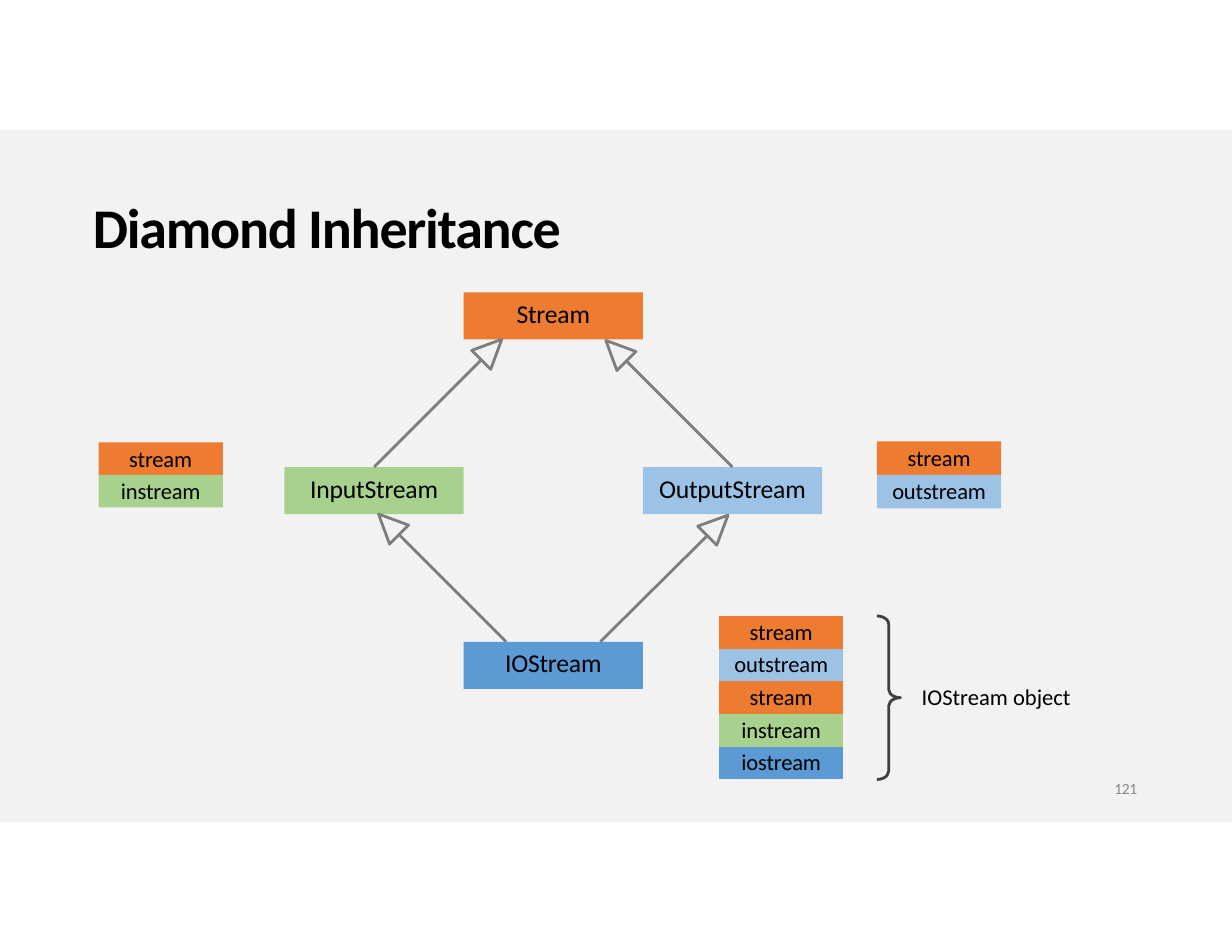
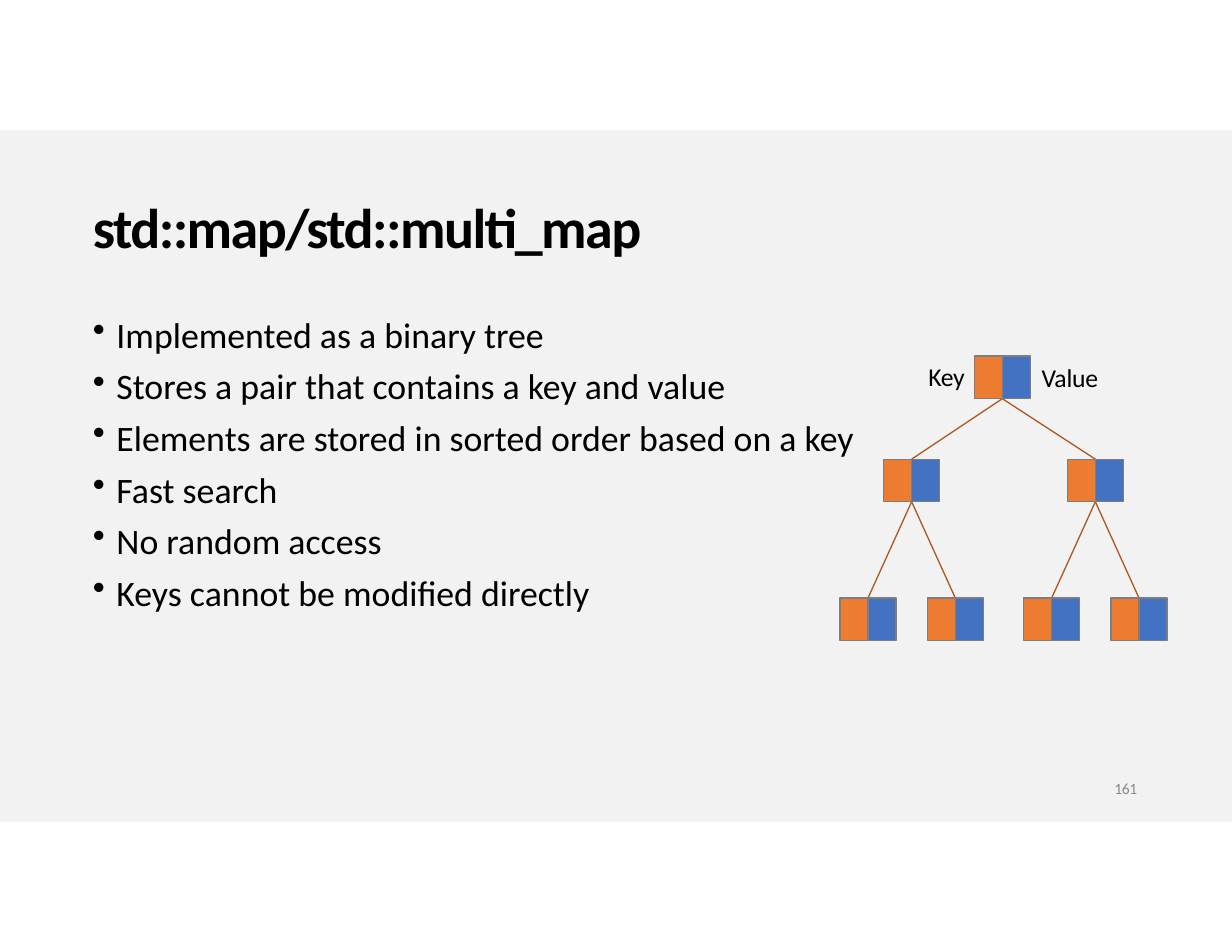
from math import hypot
from lxml import etree
from pptx import Presentation
from pptx.dml.color import RGBColor
from pptx.enum.shapes import MSO_CONNECTOR, MSO_SHAPE
from pptx.enum.text import MSO_ANCHOR, PP_ALIGN
from pptx.oxml.ns import qn
from pptx.util import Inches, Pt

RECT, BRACE = MSO_SHAPE.RECTANGLE, MSO_SHAPE.RIGHT_BRACE
STRAIGHT = MSO_CONNECTOR.STRAIGHT
LEFT, CENTER = PP_ALIGN.LEFT, PP_ALIGN.CENTER
TOP, MIDDLE = MSO_ANCHOR.TOP, MSO_ANCHOR.MIDDLE

FONT = "Calibri"
BLACK, GRAY, BAND = "000000", "7E7E7E", "F2F2F2"
PAGE, DARK, RUST = "898989", "3F3F3F", "AE5921"
ORANGE, GREEN, SKY, BLUE, NAVY = "ED7C31", "A8D18E", "9CC3E6", "5B9AD4", "4472C3"
NO_GRID = "{2D5ABB26-0587-4C30-8999-92F81FD0307C}"

# Slide 1: class boxes, inheritance arrows and object layouts
CLASSES = [
    ("Stream", 4.14, 2.61, ORANGE),
    ("InputStream", 2.54, 4.17, GREEN),
    ("OutputStream", 5.74, 4.17, SKY),
    ("IOStream", 4.14, 5.73, BLUE),
]
ARROWS = [
    ((3.34, 4.17), (4.48, 3.03)),
    ((6.54, 4.17), (5.41, 3.04)),
    ((4.52, 5.73), (3.38, 4.59)),
    ((5.36, 5.73), (6.5, 4.6)),
]
PARTS = {"stream": ORANGE, "instream": GREEN, "outstream": SKY, "iostream": BLUE}
STACKS = [
    (0.88, 3.95, 0.29, ["stream", "instream"]),
    (7.83, 3.94, 0.3, ["stream", "outstream"]),
]
OBJECT = ["stream", "outstream", "stream", "instream", "iostream"]

# Slide 2: bullets and the tree
POINTS = [
    "Implemented as a binary tree",
    "Stores a pair that contains a key and value",
    "Elements are stored in sorted order based on a key",
    "Fast search",
    "No random access",
    "Keys cannot be modified directly",
]
ROOT = (8.95, 3.18)
MIDS = [(8.14, 4.1), (9.78, 4.1)]
LEAF_TOP, SPREAD = 5.34, 0.39
HALF, TALL = 0.25, 0.38


def rgb(color):
    return RGBColor.from_string(color)


def style(para, size, color=BLACK, bold=False, gap=0):
    """Format the runs of a paragraph; gap is letter spacing in points."""
    for run in para.runs:
        font = run.font
        font.name, font.size, font.bold = FONT, Pt(size), bold
        font.color.rgb = rgb(color)
        run._r.get_or_add_rPr().set("spc", str(round(gap * 100)))


def inset(frame, top):
    frame.margin_left = frame.margin_right = frame.margin_bottom = 0
    frame.margin_top = Inches(top)
    frame.vertical_anchor = TOP


def label(slide, text, x, y, w, h, size, top=0.02, **look):
    frame = slide.shapes.add_textbox(*map(Inches, (x, y, w, h))).text_frame
    inset(frame, top)
    frame.text = text
    frame.word_wrap = True
    for para in frame.paragraphs:
        style(para, size, **look)
    return frame


def shape(slide, kind, x, y, w, h, fill=None, line=None, width=0.84):
    item = slide.shapes.add_shape(kind, *map(Inches, (x, y, w, h)))
    paint(item, fill, line, width)
    return item


def paint(item, fill, line, width):
    item.shadow.inherit = False
    if fill:
        item.fill.solid()
        item.fill.fore_color.rgb = rgb(fill)
    else:
        item.fill.background()
    if line:
        item.line.color.rgb = rgb(line)
        item.line.width = Pt(width)
    else:
        item.line.fill.background()


def box(slide, text, x, y, w, h, fill, size, top):
    frame = shape(slide, RECT, x, y, w, h, fill).text_frame
    inset(frame, top)
    frame.text = text
    para = frame.paragraphs[0]
    para.alignment = CENTER
    style(para, size, gap=-0.1)


def link(slide, start, end, color, width):
    line = slide.shapes.add_connector(STRAIGHT, *map(Inches, (*start, *end)))
    line.line.color.rgb = rgb(color)
    line.line.width = Pt(width)
    etree.SubElement(line._element.spPr, qn("a:effectLst"))


def arrow(slide, start, tip, long=0.26, side=0.12):
    """Draw a line that ends in a hollow triangle."""
    dx, dy = tip[0] - start[0], tip[1] - start[1]
    ux, uy = dx / hypot(dx, dy), dy / hypot(dx, dy)
    base = tip[0] - long * ux, tip[1] - long * uy
    ends = [(base[0] - s * uy, base[1] + s * ux) for s in (side, -side)]
    link(slide, start, base, GRAY, 1.8)
    path = slide.shapes.build_freeform(*map(Inches, tip), scale=1)
    path.add_line_segments([tuple(map(Inches, p)) for p in ends], close=True)
    paint(path.convert_to_shape(), None, GRAY, 1.8)


def stack(slide, x, y, w, h, names):
    grid = slide.shapes.add_table(len(names), 1, *map(Inches, (x, y, w, h))).table
    grid._tbl.tblPr.find(qn("a:tableStyleId")).text = NO_GRID
    grid.first_row = grid.horz_banding = False
    for row, name in zip(grid.rows, names):
        row.height = Inches(h / len(names))
        cell = row.cells[0]
        inset(cell, 0)
        cell.vertical_anchor = MIDDLE
        cell.fill.solid()
        cell.fill.fore_color.rgb = rgb(PARTS[name])
        cell.text = name
        para = cell.text_frame.paragraphs[0]
        para.alignment = CENTER
        style(para, 14.5, gap=-0.1)


def bullet(para):
    props = para._p.get_or_add_pPr()
    props.set("marL", str(Inches(0.22)))
    props.set("indent", str(-Inches(0.21)))
    etree.SubElement(props, qn("a:buChar"), char="•")


def page(deck, title, number, gap):
    """Start a slide with the band, title and page number."""
    slide = deck.slides.add_slide(deck.slide_layouts[6])
    shape(slide, RECT, 0, 1.16, 11, 6.18, BAND)
    label(slide, title, 0.83, 1.7, 7.23, 0.64, 36, bold=True, gap=gap)
    foot = label(slide, number, 9.95, 6.98, 0.28, 0.17, 10, top=0, color=PAGE, gap=-0.2)
    foot.paragraphs[0].line_spacing = Pt(10.4)
    return slide


def diamond(deck):
    slide = page(deck, "Diamond Inheritance", "121", -0.8)
    for name, x, y, fill in CLASSES:
        box(slide, name, x, y, 1.6, 0.42, fill, 16.5, 0.05)
    for start, tip in ARROWS:
        arrow(slide, start, tip)
    for x, y, h, names in STACKS:
        for i, name in enumerate(names):
            box(slide, name, x, y + i * h, 1.11, h, PARTS[name], 14.5, 0.02)
    stack(slide, 6.42, 5.5, 1.11, 1.46, OBJECT)
    brace = shape(slide, BRACE, 7.83, 5.5, 0.21, 1.46, line=DARK, width=1.8)
    brace.adjustments[0] = 0.35
    label(slide, "IOStream object", 8.23, 6.08, 1.5, 0.28, 14.5)


def tree(deck):
    slide = page(deck, "std::map/std::multi_map", "161", -1)
    frame = label(slide, "\n".join(POINTS), 0.82, 2.7, 7.1, 2.8, 23, top=0.09)
    for i, para in enumerate(frame.paragraphs):
        bullet(para)
        para.alignment = LEFT
        if i:
            para.space_before = Pt(5.6)

    edges = [(ROOT, mid) for mid in MIDS]
    for mid in MIDS:
        edges += [(mid, (mid[0] + s, LEAF_TOP)) for s in (-SPREAD, SPREAD)]
    for (x, y), child in edges:
        link(slide, (x, y + TALL), child, RUST, 0.84)
    for x, y in [ROOT] + [child for _, child in edges]:
        for left, fill in ((x - HALF, ORANGE), (x, NAVY)):
            shape(slide, RECT, left, y, HALF, TALL, fill, GRAY)
    label(slide, "Key", 8.29, 3.21, 0.4, 0.3, 16.5, top=0.01, gap=-0.2)
    label(slide, "Value", 9.3, 3.22, 0.6, 0.3, 16.5, top=0.01, gap=-0.1)


def main():
    deck = Presentation()
    deck.slide_width, deck.slide_height = Inches(11), Inches(8.5)
    diamond(deck)
    tree(deck)
    deck.save("out.pptx")


if __name__ == "__main__":
    main()
